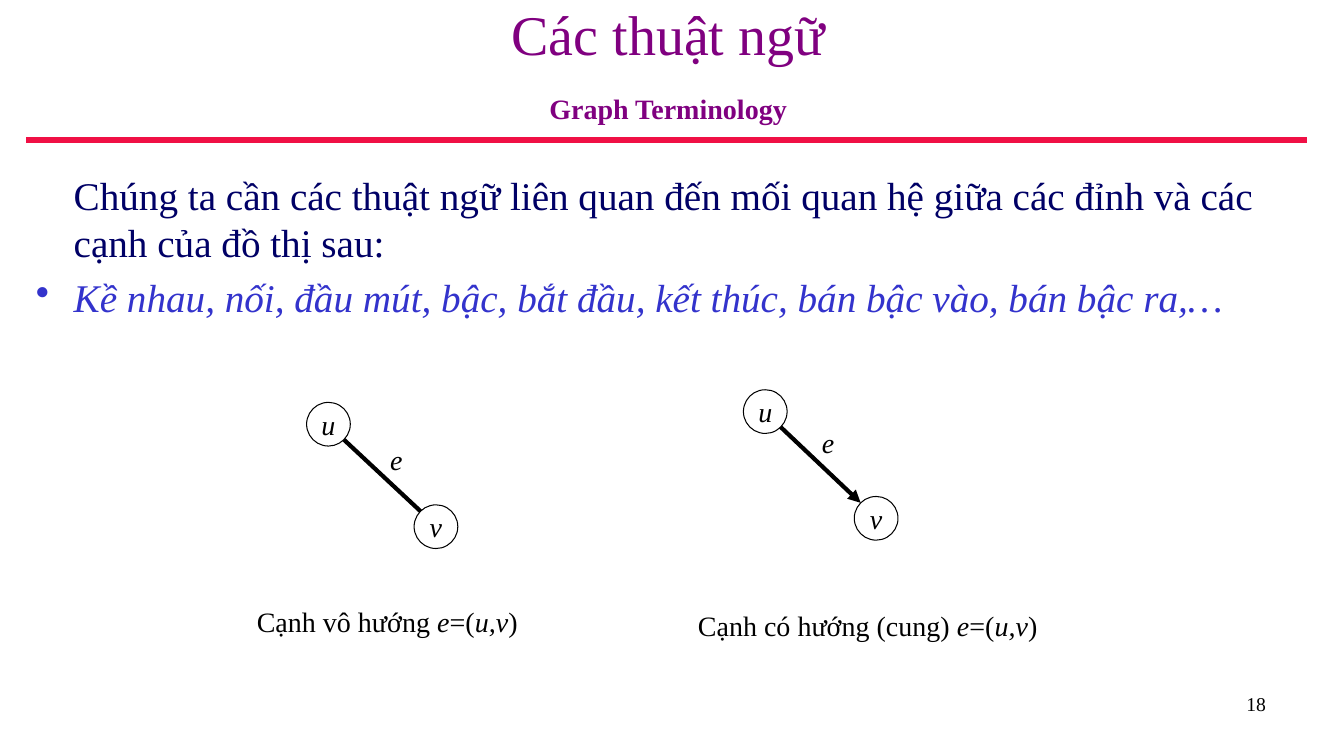
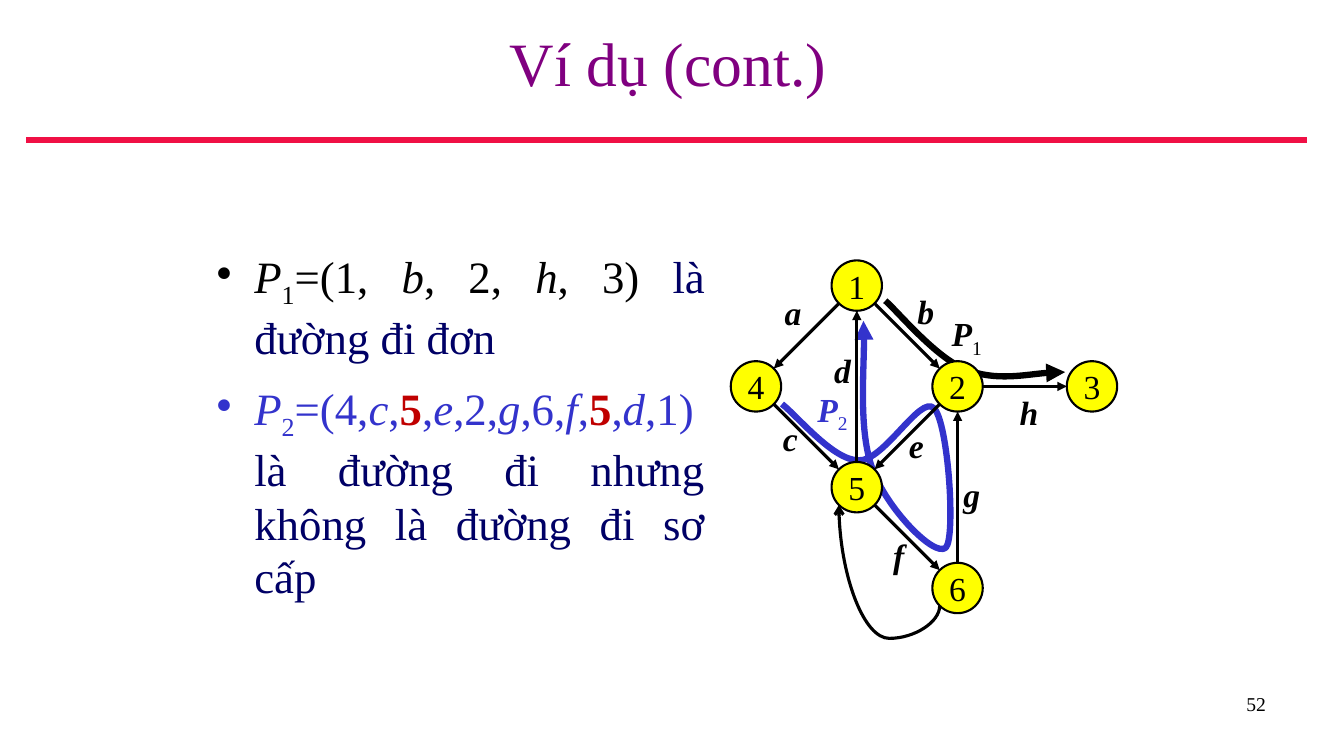
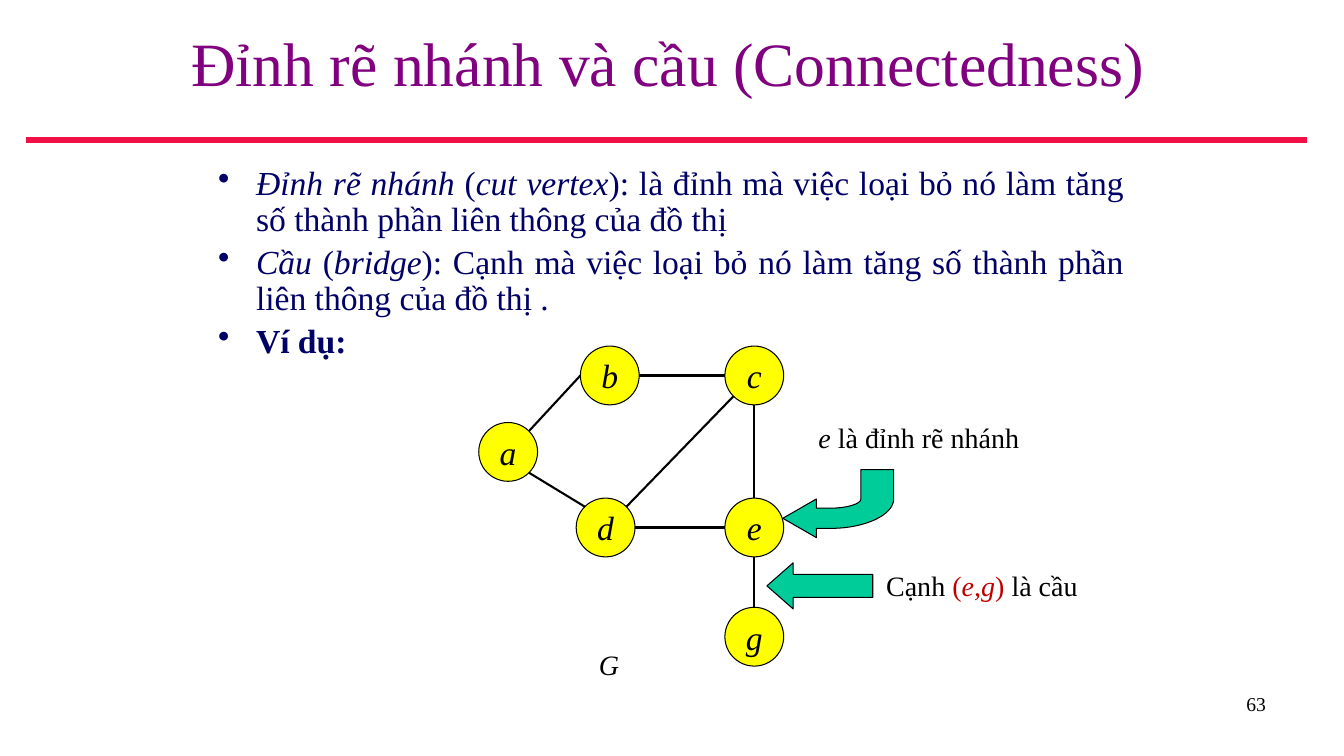
"""Build three lecture slides on graph terminology."""
from dataclasses import dataclass
from math import cos, radians, sin
from typing import NamedTuple, Optional

from pptx import Presentation
from pptx.dml.color import RGBColor
from pptx.enum.shapes import MSO_CONNECTOR, MSO_SHAPE
from pptx.enum.text import MSO_ANCHOR, MSO_AUTO_SIZE, PP_ALIGN
from pptx.oxml.ns import qn
from pptx.oxml.xmlchemy import OxmlElement
from pptx.util import Inches, Pt

STRAIGHT, CURVE = MSO_CONNECTOR.STRAIGHT, MSO_CONNECTOR.CURVE
OVAL, LEFT_ARROW = MSO_SHAPE.OVAL, MSO_SHAPE.LEFT_ARROW
LEFT, CENTER, RIGHT, JUSTIFY = PP_ALIGN.LEFT, PP_ALIGN.CENTER, PP_ALIGN.RIGHT, PP_ALIGN.JUSTIFY
TOP, MIDDLE = MSO_ANCHOR.TOP, MSO_ANCHOR.MIDDLE
NO_AUTOFIT = MSO_AUTO_SIZE.NONE

COLUMNS, ROWS = 160, 90
SLIDE_WIDTH, SLIDE_HEIGHT = Inches(40 / 3), Inches(7.5)
TITLE_ONLY = 5
EAST, SOUTHEAST, SOUTH, SOUTHWEST, WEST, NORTHWEST, NORTH, NORTHEAST = range(0, 360, 45)


@dataclass(frozen=True)
class Theme:
    """Colours and type sizes of the presentation."""
    font: str = "Times New Roman"
    title: RGBColor = RGBColor(0x80, 0x00, 0x80)
    rule: RGBColor = RGBColor(0xF0, 0x10, 0x45)
    body: RGBColor = RGBColor(0x00, 0x00, 0x66)
    accent: RGBColor = RGBColor(0x33, 0x33, 0xCC)
    highlight: RGBColor = RGBColor(0xC0, 0x00, 0x00)
    ink: RGBColor = RGBColor(0x00, 0x00, 0x00)
    node: RGBColor = RGBColor(0xFF, 0xFF, 0x00)
    pointer: RGBColor = RGBColor(0x00, 0xCC, 0x99)
    title_size: float = 44
    long_title_size: float = 40
    large_size: float = 32
    body_size: float = 28
    node_size: float = 24
    label_size: float = 20
    page_size: float = 14


THEME = Theme()


class Point(NamedTuple):
    """A place on the grid."""
    column: float
    row: float


class Box(NamedTuple):
    """A rectangle on the grid."""
    left: float
    top: float
    width: float
    height: float


class Run(NamedTuple):
    """A stretch of text in one style."""
    text: str
    italic: bool = False
    bold: bool = False
    color: Optional[RGBColor] = None
    subscript: bool = False


@dataclass(frozen=True)
class Block:
    """A paragraph of body text."""
    runs: list[Run]
    bullet: bool = True
    align: PP_ALIGN = LEFT
    space_before: float = 0
    line_spacing: float = 1.0


@dataclass(frozen=True)
class Label:
    """Text centred on a point."""
    center: Point
    runs: list[Run]
    size: float = THEME.label_size


class Edge(NamedTuple):
    """A line from a port of one node to a port of another."""
    start: str
    start_port: int
    end: str
    end_port: int


@dataclass(frozen=True)
class Graph:
    """Nodes by name, and the edges and looks they share."""
    nodes: dict[str, Point]
    edges: list[Edge]
    diameter: float
    edge_width: float
    outline: float = 0.75
    size: float = THEME.node_size
    italic: bool = True
    fill: Optional[RGBColor] = THEME.node
    directed: bool = False

    def port(self, name: str, angle: int) -> Point:
        """Return the point of a node's rim at a clockwise angle."""
        center, radius = self.nodes[name], self.diameter / 2
        return Point(center.column + radius * cos(radians(angle)),
                     center.row + radius * sin(radians(angle)))


@dataclass(frozen=True)
class Outline:
    """A path whose segments hold one point (line) or three (curve)."""
    start: Point
    segments: list[tuple[Point, ...]]
    color: RGBColor
    width: float
    fill: Optional[RGBColor] = None
    arrow: Optional[str] = None


def across(columns: float) -> int:
    """Convert columns to a length."""
    return round(SLIDE_WIDTH * columns / COLUMNS)


def down(rows: float) -> int:
    """Convert rows to a length."""
    return round(SLIDE_HEIGHT * rows / ROWS)


def place(box: Box) -> tuple[int, int, int, int]:
    """Convert a grid box to lengths."""
    return across(box.left), down(box.top), across(box.width), down(box.height)


def around(center: Point, width: float, height: float) -> Box:
    """Return the box of a given size centred on a point."""
    return Box(center.column - width / 2, center.row - height / 2, width, height)


def points(*numbers: float) -> tuple[Point, ...]:
    """Pair up columns and rows."""
    return tuple(Point(*pair) for pair in zip(numbers[::2], numbers[1::2]))


def add_runs(paragraph, runs: list[Run], size: float, color: RGBColor) -> None:
    """Add styled runs to a paragraph."""
    for item in runs:
        run = paragraph.add_run()
        run.text = item.text
        run.font.name = THEME.font
        run.font.size = Pt(size)
        run.font.bold = item.bold
        run.font.italic = item.italic
        run.font.color.rgb = item.color or color
        if item.subscript:
            run._r.get_or_add_rPr().set("baseline", "-25000")


def set_frame(frame, wrap: bool, anchor: MSO_ANCHOR) -> None:
    """Set wrapping and anchoring of a text frame."""
    frame.auto_size = NO_AUTOFIT
    frame.word_wrap = wrap
    frame.vertical_anchor = anchor


def add_text(slide, box: Box, blocks: list[Block], size: float, color: RGBColor,
             indent: float = 0, wrap: bool = True, anchor: MSO_ANCHOR = TOP) -> None:
    """Add a text box with one paragraph per block."""
    frame = slide.shapes.add_textbox(*place(box)).text_frame
    set_frame(frame, wrap, anchor)
    for index, block in enumerate(blocks):
        paragraph = frame.paragraphs[0] if index == 0 else frame.add_paragraph()
        properties = paragraph._p.get_or_add_pPr()
        properties.set("marL", str(across(indent)))
        if block.bullet:
            properties.set("indent", str(-across(indent)))
            bullet = OxmlElement("a:buChar")
            bullet.set("char", "•")
            properties.append(bullet)
        paragraph.alignment = block.align
        paragraph.line_spacing = block.line_spacing
        if index:
            paragraph.space_before = Pt(block.space_before)
        add_runs(paragraph, block.runs, size, color)


def add_body(slide, box: Box, blocks: list[Block], size: float) -> None:
    """Add the body text with hanging bullets."""
    add_text(slide, box, blocks, size, THEME.body, indent=4.5)


def add_labels(slide, labels: list[Label]) -> None:
    """Add labels centred on their points."""
    for label in labels:
        add_text(slide, around(label.center, 6, 6),
                 [Block(label.runs, bullet=False, align=CENTER)],
                 label.size, THEME.ink, wrap=False, anchor=MIDDLE)


def add_arrowhead(shape, end: str, kind: str = "triangle") -> None:
    """Put an arrowhead on the headEnd or tailEnd of a line."""
    arrowhead = OxmlElement(f"a:{end}")
    arrowhead.set("type", kind)
    shape._element.spPr.find(qn("a:ln")).append(arrowhead)


def add_line(slide, start: Point, end: Point, width: float,
             color: RGBColor = THEME.ink, kind: MSO_CONNECTOR = STRAIGHT):
    """Add a connector without shadow."""
    connector = slide.shapes.add_connector(
        kind, across(start.column), down(start.row), across(end.column), down(end.row))
    connector.line.color.rgb = color
    connector.line.width = Pt(width)
    connector._element.spPr.append(OxmlElement("a:effectLst"))
    return connector


def paint(shape, fill: Optional[RGBColor], line: RGBColor, width: float) -> None:
    """Set fill and line of a shape and drop its shadow."""
    shape.shadow.inherit = False
    if fill is None:
        shape.fill.background()
    else:
        shape.fill.solid()
        shape.fill.fore_color.rgb = fill
    shape.line.color.rgb = line
    shape.line.width = Pt(width)


def add_graph(slide, graph: Graph) -> None:
    """Draw the nodes and edges of a graph."""
    for name, center in graph.nodes.items():
        node = slide.shapes.add_shape(OVAL, *place(around(center, graph.diameter, graph.diameter)))
        paint(node, graph.fill, THEME.ink, graph.outline)
        frame = node.text_frame
        set_frame(frame, False, MIDDLE)
        frame.margin_left = frame.margin_right = frame.margin_top = frame.margin_bottom = 0
        frame.paragraphs[0].alignment = CENTER
        add_runs(frame.paragraphs[0], [Run(name, italic=graph.italic)], graph.size, THEME.ink)
    for edge in graph.edges:
        line = add_line(slide, graph.port(edge.start, edge.start_port),
                        graph.port(edge.end, edge.end_port), graph.edge_width)
        if graph.directed:
            add_arrowhead(line, "tailEnd")


def add_outline(slide, outline: Outline) -> None:
    """Draw a path of lines and curves, closed when it is filled."""
    builder = slide.shapes.build_freeform(across(outline.start.column), down(outline.start.row))
    vertices = [(across(point.column), down(point.row))
                for segment in outline.segments for point in segment]
    builder.add_line_segments(vertices, close=outline.fill is not None)
    shape = builder.convert_to_shape()
    paint(shape, outline.fill, outline.color, outline.width)
    steps = iter(list(shape._element.iter(qn("a:lnTo"))))
    for segment in outline.segments:
        members = [next(steps) for _ in segment]
        if len(members) == 3:
            curve = OxmlElement("a:cubicBezTo")
            members[0].addprevious(curve)
            for member in members:
                curve.append(member[0])
                member.getparent().remove(member)
    if outline.arrow:
        add_arrowhead(shape, outline.arrow)


def add_return_loop(slide, start: Point, end: Point, width: float) -> None:
    """Add a curved arrow that sags below its start."""
    loop = add_line(slide, Point(start.column, end.row), Point(end.column, start.row),
                    width, kind=CURVE)
    properties = loop._element.spPr
    properties.find(qn("a:xfrm")).set("rot", str(90 * 60000))
    guide = OxmlElement("a:gd")
    guide.set("name", "adj1")
    guide.set("fmla", "val -32300")
    properties.find(qn("a:prstGeom")).get_or_add_avLst().append(guide)
    add_arrowhead(loop, "tailEnd", "arrow")


def start_slide(presentation, page: str, title: str, subtitle: str = ""):
    """Add a slide with title, rule and page number."""
    slide = presentation.slides.add_slide(presentation.slide_layouts[TITLE_ONLY])
    heading = slide.shapes.title
    heading.left, heading.top, heading.width, heading.height = place(Box(3.1, 0, 152.9, 14.8))
    frame = heading.text_frame
    set_frame(frame, True, MIDDLE)
    paragraph = frame.paragraphs[0]
    paragraph.alignment = CENTER
    size = THEME.long_title_size if subtitle else THEME.title_size
    add_runs(paragraph, [Run(title)], size, THEME.title)
    if subtitle:
        paragraph = frame.add_paragraph()
        paragraph.alignment = CENTER
        paragraph.space_before = Pt(18)
        add_runs(paragraph, [Run(subtitle, bold=True)], THEME.label_size, THEME.title)
    add_line(slide, Point(3.1, 16.7), Point(155.6, 16.7), 4.5, THEME.rule)
    add_text(slide, Box(114.6, 81.8, 37.3, 6.2),
             [Block([Run(page)], bullet=False, align=RIGHT)], THEME.page_size, THEME.ink)
    return slide


def walk_runs(index: str, steps: str, separator: str, color: RGBColor,
              repeated: str = "") -> list[Run]:
    """Spell out a walk, with edges in italics and the repeated node marked."""
    runs = [Run("P", italic=True, color=color), Run(index, color=color, subscript=True),
            Run("=(", color=color)]
    for position, step in enumerate(steps):
        if position:
            runs.append(Run(separator, color=color))
        marked = step == repeated
        runs.append(Run(step, step.isalpha(), marked, THEME.highlight if marked else color))
    return runs + [Run(") ", color=color)]


def add_terminology_slide(presentation) -> None:
    """Show an undirected and a directed edge."""
    slide = start_slide(presentation, "18", "Các thuật ngữ", "Graph Terminology")
    add_body(slide, Box(3.1, 19.8, 152.9, 30), [
        Block([Run("Chúng ta cần các thuật ngữ liên quan đến mối quan hệ giữa "
                   "các đỉnh và các cạnh của đồ thị sau:")], bullet=False),
        Block([Run("Kề nhau, nối, đầu mút, bậc, bắt đầu, kết thúc, bán bậc vào, bán bậc ra,…",
                   italic=True, color=THEME.accent)], space_before=5.6),
    ], THEME.body_size)
    pairs = [
        (Point(39.1, 50.5), Point(51.9, 62.7), Point(47.2, 54.7), Point(46.1, 74),
         "Cạnh vô hướng ", False),
        (Point(91.1, 49), Point(104.3, 61.7), Point(98.6, 52.7), Point(103.3, 74.5),
         "Cạnh có hướng (cung) ", True),
    ]
    for start, end, edge_label, caption, wording, directed in pairs:
        add_graph(slide, Graph({"u": start, "v": end}, [Edge("u", SOUTHEAST, "v", NORTHWEST)],
                               diameter=5.2, edge_width=3, size=THEME.label_size,
                               fill=None, directed=directed))
        add_labels(slide, [
            Label(edge_label, [Run("e", italic=True)]),
            Label(caption, [Run(wording), Run("e", italic=True), Run("=("),
                            Run("u,v", italic=True), Run(")")]),
        ])


def add_paths_slide(presentation) -> None:
    """Show two paths through a directed graph."""
    slide = start_slide(presentation, "52", "Ví dụ (cont.)")
    add_outline(slide, Outline(Point(102.8, 38.2), [
        points(103.1, 41, 102.2, 51.4, 103.9, 55.9),
        points(105.5, 60.4, 111.2, 66.4, 112.6, 65.2),
        points(113.8, 64, 112.9, 50.3, 111.2, 48.6),
        points(109.6, 46.9, 105.2, 55, 102.2, 54.8),
        points(99.2, 54.8, 95, 49.6, 93.1, 48.1),
    ], THEME.accent, 4.5, arrow="headEnd"))
    add_outline(slide, Outline(Point(105.4, 35.8), [
        points(106.9, 37.1, 111.4, 42.6, 115, 44),
        points(118.6, 45.4, 124.4, 44.2, 126.8, 44.3),
    ], THEME.ink, 4.5, arrow="tailEnd"))
    add_body(slide, Box(24.6, 29, 60.5, 46), [
        Block(walk_runs("1", "1b2h3", ", ", THEME.ink) + [Run("là đường đi đơn")], align=JUSTIFY),
        Block(walk_runs("2", "4c5e2g6f5d1", ",", THEME.accent, "5")
              + [Run("là đường đi nhưng không là đường đi sơ cấp")],
              align=JUSTIFY, space_before=12),
    ], THEME.large_size)
    graph = Graph(
        dict(zip("123456", points(102, 34, 114, 46, 130, 46, 90, 46, 102, 58, 114, 70))),
        [Edge("1", SOUTHWEST, "4", NORTHEAST), Edge("4", SOUTHEAST, "5", NORTHWEST),
         Edge("2", SOUTHWEST, "5", NORTHEAST), Edge("2", EAST, "3", WEST),
         Edge("1", SOUTHEAST, "2", NORTHWEST), Edge("5", NORTH, "1", SOUTH),
         Edge("5", SOUTHEAST, "6", NORTHWEST), Edge("6", NORTH, "2", SOUTH)],
        diameter=6, edge_width=2.25, outline=1.5, italic=False, directed=True)
    add_graph(slide, graph)
    add_return_loop(slide, graph.port("6", SOUTHWEST), graph.port("5", SOUTHWEST),
                    graph.edge_width)
    edge_centers = points(94.4, 37.1, 110.2, 37, 94.1, 52.1, 100.3, 44,
                          109.1, 53, 107, 66.1, 115.7, 58.8, 122.5, 49)
    add_labels(slide, [Label(center, [Run(name, italic=True, bold=True)], THEME.node_size)
                       for name, center in zip("abcdefgh", edge_centers)])
    path_labels = [("1", Point(115.1, 40), THEME.ink), ("2", Point(99.1, 49), THEME.accent)]
    add_labels(slide, [Label(center, [Run("P", italic=True, bold=True, color=color),
                                      Run(index, color=color, subscript=True)], THEME.node_size)
                       for index, center, color in path_labels])


def add_connectedness_slide(presentation) -> None:
    """Show a cut vertex and a bridge."""
    slide = start_slide(presentation, "63", "Đỉnh rẽ nhánh và cầu (Connectedness)")
    definitions = [
        [Run("Đỉnh rẽ nhánh", italic=True), Run(" ("), Run("cut vertex", italic=True),
         Run("): là đỉnh mà việc loại bỏ nó làm tăng số thành phần liên thông của đồ thị")],
        [Run("Cầu ", italic=True), Run("("), Run("bridge", italic=True),
         Run("): Cạnh mà việc loại bỏ nó làm tăng số thành phần liên thông của đồ thị .")],
        [Run("Ví dụ:", bold=True)],
    ]
    add_body(slide, Box(24.8, 19.2, 110.2, 24),
             [Block(runs, align=JUSTIFY, space_before=4.8, line_spacing=0.9)
              for runs in definitions], THEME.node_size)
    add_graph(slide, Graph(
        dict(zip("abcdeg", points(60.5, 53.8, 72.6, 44.7, 89.8, 44.7,
                                  72.1, 62.8, 89.8, 62.8, 89.8, 75.8))),
        [Edge("c", SOUTH, "e", NORTH), Edge("d", EAST, "e", WEST),
         Edge("a", SOUTHEAST, "d", NORTHWEST), Edge("c", SOUTHWEST, "d", NORTHEAST),
         Edge("b", EAST, "c", WEST), Edge("a", NORTHEAST, "b", WEST),
         Edge("g", NORTH, "e", SOUTH)],
        diameter=7, edge_width=1.5))
    add_labels(slide, [
        Label(Point(72.5, 79.1), [Run("G", italic=True)]),
        Label(Point(109.4, 52), [Run("e", italic=True), Run(" là đỉnh rẽ nhánh")]),
        Label(Point(116.9, 69.7), [
            Run("Cạnh "), Run("(", color=THEME.highlight),
            Run("e,g", italic=True, color=THEME.highlight),
            Run(") ", color=THEME.highlight), Run("là cầu")]),
    ])
    add_outline(slide, Outline(Point(93.2, 61.7), [
        *((point,) for point in points(97.2, 64, 97.2, 62.9, 98.9, 62.9)),
        points(103, 62.9, 106.4, 61.3, 106.4, 59.4),
        *((point,) for point in points(106.4, 55.9, 102.5, 55.9, 102.5, 59.4)),
        points(102.5, 60, 100.8, 60.5, 98.9, 60.5),
        *((point,) for point in points(97.2, 60.5, 97.2, 59.4)),
    ], THEME.ink, 0.75, fill=THEME.pointer))
    arrow = slide.shapes.add_shape(LEFT_ARROW, *place(Box(91.3, 67, 12.6, 5.5)))
    arrow.adjustments[0], arrow.adjustments[1] = 0.5, 0.57
    paint(arrow, THEME.pointer, THEME.ink, 0.75)


def main() -> None:
    """Build and save the presentation."""
    presentation = Presentation()
    presentation.slide_width, presentation.slide_height = SLIDE_WIDTH, SLIDE_HEIGHT
    add_terminology_slide(presentation)
    add_paths_slide(presentation)
    add_connectedness_slide(presentation)
    presentation.save("out.pptx")


if __name__ == "__main__":
    main()
